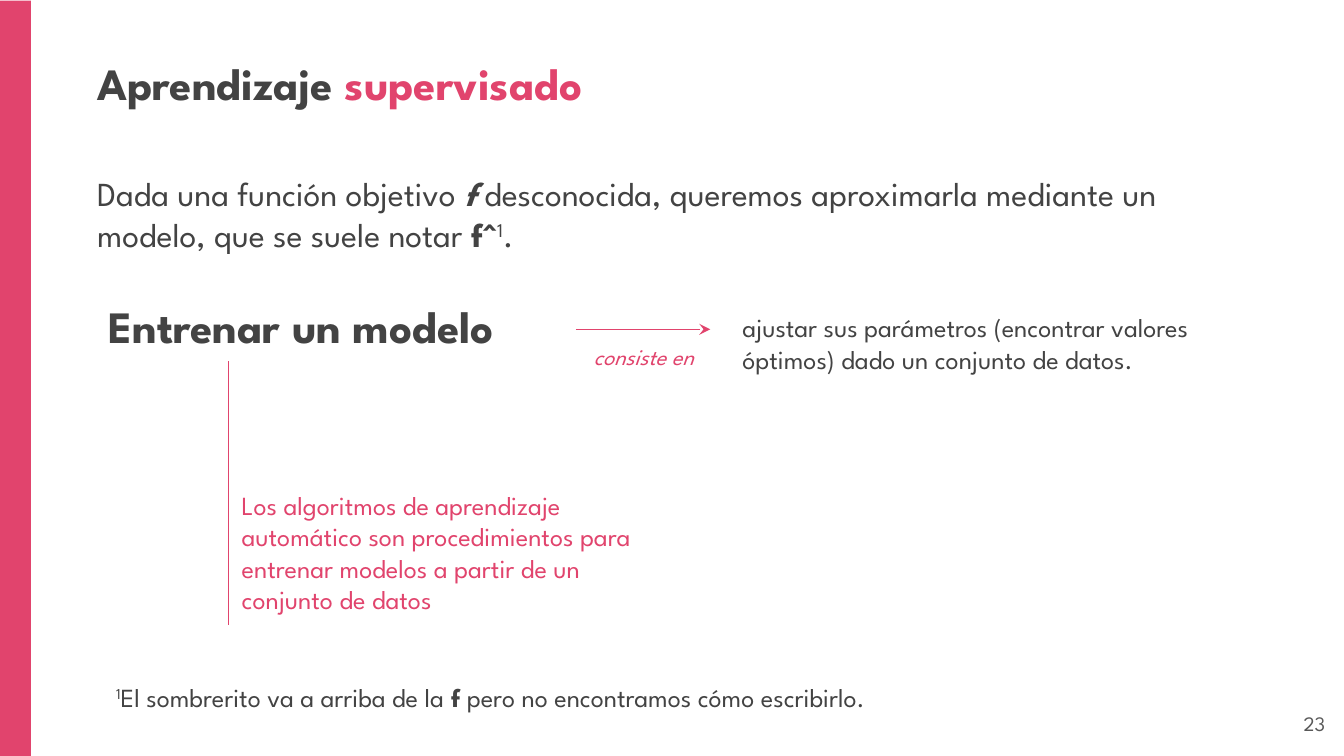
from lxml.etree import SubElement
from pptx import Presentation
from pptx.dml.color import RGBColor
from pptx.enum.shapes import MSO_CONNECTOR as Connector, MSO_SHAPE as Shape
from pptx.enum.text import PP_ALIGN as Align
from pptx.oxml.ns import qn
from pptx.util import Emu, Pt

EMU_PER_PX = 4572
FONT = "League Spartan"
COLORS = {"pink": "E1446D", "dark": "434343", "gray": "595959"}


def px(*lengths):
    return [Emu(length * EMU_PER_PX) for length in lengths]


def color(name):
    return RGBColor.from_string(COLORS[name])


def add_bar(slide, box, fill):
    bar = slide.shapes.add_shape(Shape.RECTANGLE, *px(*box))
    bar.shadow.inherit = False
    bar.fill.solid()
    bar.fill.fore_color.rgb = color(fill)
    bar.line.fill.background()


def add_run(paragraph, text, size, ink, bold=False, italic=False, raised=False):
    run = paragraph.add_run()
    run.text = text
    font = run.font
    font.name, font.size = FONT, Pt(size)
    font.bold, font.italic = bold, italic
    font.color.rgb = color(ink)
    if raised:
        run._r.get_or_add_rPr().set("baseline", "30000")


def add_text(slide, box, *pieces, align=Align.LEFT, **style):
    frame = slide.shapes.add_textbox(*px(*box)).text_frame
    frame.word_wrap = True
    frame.margin_left, frame.margin_top, frame.margin_right, frame.margin_bottom = px(20, 20, 20, 20)
    paragraph = frame.paragraphs[0]
    paragraph.alignment = align
    for piece in pieces:
        text, changes = (piece, {}) if isinstance(piece, str) else piece
        add_run(paragraph, text, **{**style, **changes})


def add_line(slide, ends, ink, arrow=False):
    line = slide.shapes.add_connector(Connector.STRAIGHT, *px(*ends))
    line.line.color.rgb = color(ink)
    line.line.width = Pt(0.75)
    if arrow:
        SubElement(line.line._get_or_add_ln(), qn("a:tailEnd"), type="stealth")
    SubElement(line._element.spPr, qn("a:effectLst"))


def main():
    presentation = Presentation()
    presentation.slide_width, presentation.slide_height = px(2000, 1125)
    slide = presentation.slides.add_slide(presentation.slide_layouts[6])
    bold = {"bold": True}
    raised = {"raised": True}

    add_bar(slide, (0, 1, 46, 1124), "pink")
    add_text(slide, (125, 63, 1724, 118), "Aprendizaje ", ("supervisado", {"ink": "pink"}),
             size=24, ink="dark", bold=True)
    add_text(slide, (125, 238, 1746, 172),
             "Dada una función objetivo ", ("f", {"bold": True, "italic": True}),
             " desconocida, queremos aproximarla mediante un modelo, que se suele notar ",
             ("f^", bold), ("1", raised), ".", size=18, ink="dark")

    add_text(slide, (142, 425, 724, 100), "Entrenar un modelo", size=24, ink="dark", bold=True)
    add_line(slide, (857, 490, 1057, 490), "pink", arrow=True)
    add_text(slide, (837, 491, 242, 136), "consiste en",
             size=12, ink="pink", italic=True, align=Align.CENTER)
    add_text(slide, (1085, 444, 818, 136),
             "ajustar sus parámetros (encontrar valores óptimos) dado un conjunto de datos.",
             size=14, ink="dark")

    add_line(slide, (340, 538, 340, 930), "pink")
    add_text(slide, (340, 708, 656, 238),
             "Los algoritmos de aprendizaje automático son procedimientos para "
             "entrenar modelos a partir de un conjunto de datos", size=14, ink="pink")

    add_text(slide, (153, 994, 1518, 56), ("1", raised), "El sombrerito va a arriba de la ",
             ("f", bold), " pero no encontramos cómo escribirlo.", size=14, ink="dark")
    add_text(slide, (1872, 1039, 120, 86), "23", size=11, ink="gray", align=Align.RIGHT)
    presentation.save("out.pptx")


if __name__ == "__main__":
    main()
